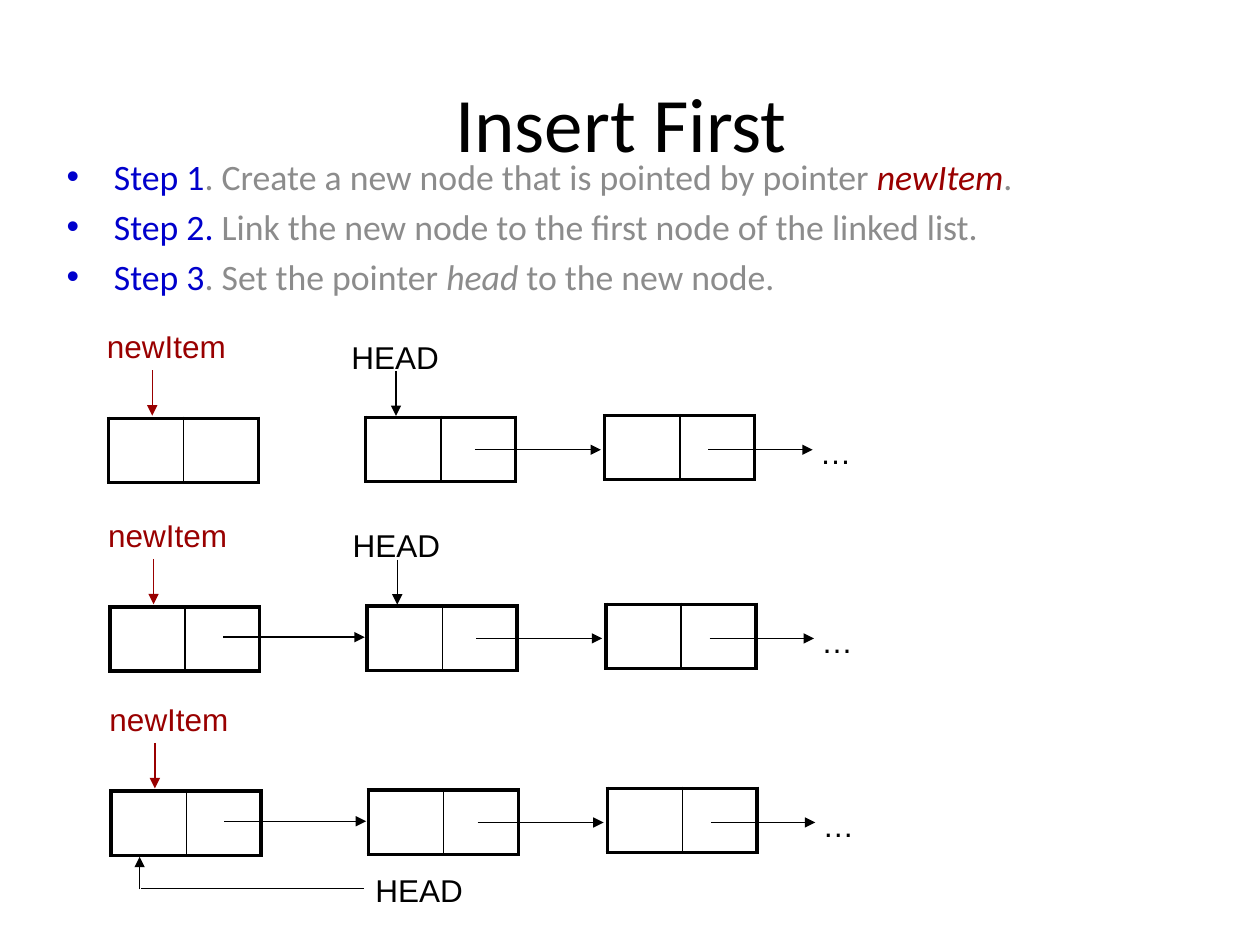
from lxml import etree
from pptx import Presentation
from pptx.dml.color import RGBColor
from pptx.enum.shapes import MSO_CONNECTOR
from pptx.enum.text import MSO_ANCHOR, PP_ALIGN
from pptx.oxml.ns import qn
from pptx.util import Pt

STRAIGHT = MSO_CONNECTOR.STRAIGHT
MIDDLE, TOP = MSO_ANCHOR.MIDDLE, MSO_ANCHOR.TOP
CENTER, LEFT = PP_ALIGN.CENTER, PP_ALIGN.LEFT
BLACK, RED, BLUE, GREY = "000000", "990000", "0000CC", "8C8C8C"

# Content: runs are (text, colour, italic)
TITLE = "Insert First "
STEPS = [
    [("Step 1", BLUE, False),
     (". Create a new node that is pointed by pointer ", GREY, False),
     ("newItem", RED, True), (". ", GREY, False)],
    [("Step 2.", BLUE, False),
     (" Link the new node to the first node of the linked list. ", GREY, False)],
    [("Step 3", BLUE, False), (". Set the pointer ", GREY, False),
     ("head", GREY, True), (" to the new node. ", GREY, False)],
]

# Diagram parts, placed as in the first stage
NODES = [(62, 239), (209, 238.5), (345.5, 237.5)]
NODE_CELLS, NODE_H = (43, 42.7), 36.7
LABELS = [("newItem", 54, 183.5, 96.5, RED), ("…", 461.5, 244, 69, BLACK)]
ARROWS = [(271.4, 257, 343.4, 257, BLACK), (404.7, 257, 464.4, 257, BLACK),
          (87, 211.5, 87, 237.5, RED)]
HEAD_LABEL = ("HEAD", 193.7, 189.4, 69, BLACK)
HEAD_ARROW = (226.3, 212, 226.3, 237.7, BLACK)
NEW_LINK = (126.7, 256.3, 207.7, 256.3, BLACK)

# Stages: offset, whether the new node is linked, whether HEAD is still on the old node
STAGES = [(0, 0, False, True), (0.75, 107.8, True, True), (1.5, 213, True, False)]

# HEAD moved under the new node in the last stage
MOVED_HEAD = ("HEAD", 207.4, 494, 69, BLACK)
MOVED_LINE = (208, 507.6, 80.6, 507.6, BLACK)
MOVED_ARROW = (79.8, 508.3, 79.8, 489.6, BLACK)


def rgb(value):
    return RGBColor.from_string(value)


def set_values(obj, values):
    for name, value in values.items():
        setattr(obj, name, value)


def add_run(p, text, size, font, color, italic=False):
    r = p.add_run()
    r.text = text
    set_values(r.font, {"size": Pt(size), "name": font, "italic": italic})
    r.font.color.rgb = rgb(color)


def add_label(s, text, x, y, w, color, dx=0, dy=0):
    sp = s.shapes.add_textbox(Pt(x + dx), Pt(y + dy), Pt(w), Pt(29))
    sp.text_frame.word_wrap = True
    add_run(sp.text_frame.paragraphs[0], text, 18, "Arial", color)


def add_line(s, x1, y1, x2, y2, color, dx=0, dy=0, arrow=True):
    sp = s.shapes.add_connector(STRAIGHT, Pt(x1 + dx), Pt(y1 + dy),
                                Pt(x2 + dx), Pt(y2 + dy))
    sp.line.width = Pt(0.75)
    sp.line.color.rgb = rgb(color)
    if arrow:
        ln = sp.line._get_or_add_ln()
        etree.SubElement(ln, qn("a:tailEnd"), type="triangle")
    etree.SubElement(sp._element.spPr, qn("a:effectLst"))


def add_border(cell, side, width):
    ln = etree.SubElement(cell._tc.get_or_add_tcPr(), qn("a:ln" + side),
                          w=str(Pt(width)))
    fill = etree.SubElement(ln, qn("a:solidFill"))
    etree.SubElement(fill, qn("a:srgbClr"), val=BLACK)


def add_node(s, x, y):
    table = s.shapes.add_table(1, 2, Pt(x), Pt(y), Pt(sum(NODE_CELLS)),
                               Pt(NODE_H)).table
    set_values(table, {"first_row": False, "horz_banding": False})
    for i, (width, inner) in enumerate(zip(NODE_CELLS, "RL")):
        table.columns[i].width = Pt(width)
        cell = table.cell(0, i)
        for side in "LRTB":
            add_border(cell, side, 1 if side == inner else 2.25)
        cell.fill.background()


prs = Presentation()
prs.slide_width, prs.slide_height = Pt(720), Pt(540)
s = prs.slides.add_slide(prs.slide_layouts[5])

# Title
sp = s.shapes.title
set_values(sp, {"left": Pt(54), "top": Pt(11.5), "width": Pt(612), "height": Pt(116)})
sp.text_frame.vertical_anchor = MIDDLE
p = sp.text_frame.paragraphs[0]
p.alignment = CENTER
add_run(p, TITLE, 44, "Calibri", BLACK)

# Steps
tf = s.shapes.add_textbox(Pt(31), Pt(85), Pt(651.6), Pt(85)).text_frame
set_values(tf, {"word_wrap": True, "vertical_anchor": TOP})
for i, runs in enumerate(STEPS):
    p = tf.paragraphs[0] if i == 0 else tf.add_paragraph()
    set_values(p, {"alignment": LEFT, "space_before": Pt(4 if i else 0)})
    pPr = p._p.get_or_add_pPr()
    pPr.set("marL", str(Pt(27)))
    pPr.set("indent", str(-Pt(27)))
    etree.SubElement(pPr, qn("a:buFont"), typeface="Arial")
    etree.SubElement(pPr, qn("a:buChar"), char="•")
    for text, color, italic in runs:
        add_run(p, text, 20.4, "Calibri", color, italic)

# Linked list at each stage
for dx, dy, linked, head_on_old in STAGES:
    for x, y in NODES:
        add_node(s, x + dx, y + dy)
    labels = LABELS + [HEAD_LABEL] * head_on_old
    arrows = ARROWS + [HEAD_ARROW] * head_on_old + [NEW_LINK] * linked
    for label in labels:
        add_label(s, *label, dx, dy)
    for arrow in arrows:
        add_line(s, *arrow, dx, dy)

# HEAD on the new node
add_label(s, *MOVED_HEAD)
add_line(s, *MOVED_LINE, arrow=False)
add_line(s, *MOVED_ARROW)

prs.save("out.pptx")
